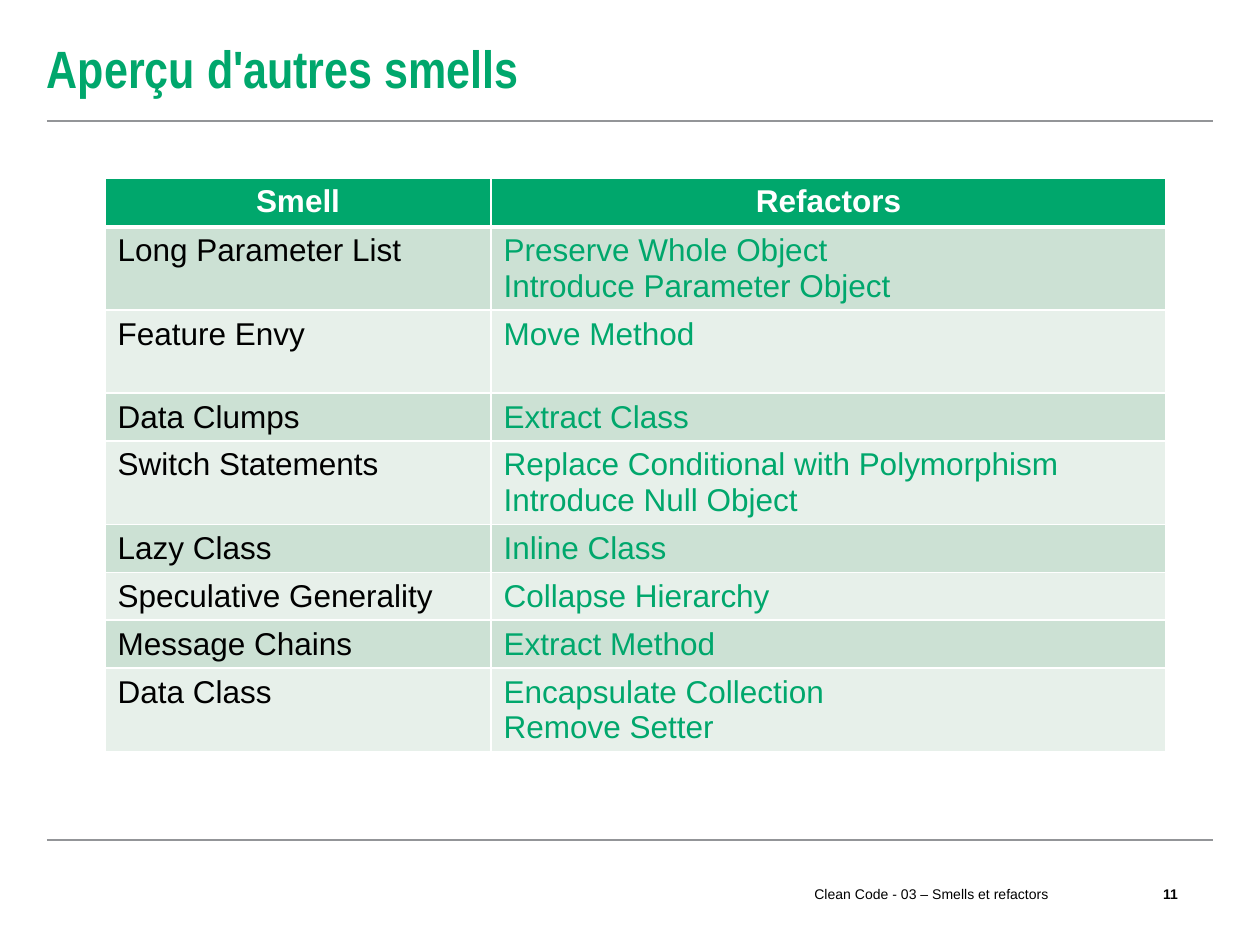
from lxml.etree import SubElement
from pptx import Presentation
from pptx.dml.color import RGBColor
from pptx.enum.shapes import MSO_CONNECTOR as Connector
from pptx.enum.text import MSO_ANCHOR as Anchor, MSO_AUTO_SIZE as AutoSize, PP_ALIGN as Align
from pptx.oxml import parse_xml
from pptx.oxml.ns import nsdecls, qn
from pptx.util import Pt

EMU_PER_PX = 914400 / 126
COLORS = {"green": "00A76C", "rule": "939598", "black": "000000", "white": "FFFFFF",
          "dark_band": "CCE1D4", "light_band": "E7F0EA"}
SMELLS = [
    ("Long Parameter List", ["Preserve Whole Object", "Introduce Parameter Object"]),
    ("Feature Envy", ["Move Method"]),
    ("Data Clumps", ["Extract Class"]),
    ("Switch Statements", ["Replace Conditional with Polymorphism", "Introduce Null Object"]),
    ("Lazy Class", ["Inline Class"]),
    ("Speculative Generality", ["Collapse Hierarchy"]),
    ("Message Chains", ["Extract Method"]),
    ("Data Class", ["Encapsulate Collection", "Remove Setter"]),
]
HEADER_HEIGHT, SHORT_ROW, TALL_ROW = 49, 48, 83
TALL_SMELLS = {"Feature Envy"} | {smell for smell, refactors in SMELLS if len(refactors) > 1}
SMELL_WIDTH = 386


def px(*lengths):
    return [round(length * EMU_PER_PX) for length in lengths]


def rgb(name):
    return RGBColor.from_string(COLORS[name])


def write(frame, lines, color, align=Align.LEFT, **font_values):
    """Fill a text frame with one formatted paragraph per line."""
    frame.text = "\n".join(lines)
    for paragraph in frame.paragraphs:
        paragraph.alignment = align
        for run in paragraph.runs:
            for key, value in ({"name": "Arial", "bold": False} | font_values).items():
                setattr(run.font, key, value)
            run.font.color.rgb = rgb(color)


def set_frame(frame, wrap=True):
    values = {"margin_left": 0, "margin_top": 0, "margin_right": 0, "margin_bottom": 0,
              "vertical_anchor": Anchor.MIDDLE, "auto_size": AutoSize.NONE, "word_wrap": wrap}
    for key, value in values.items():
        setattr(frame, key, value)


def add_rule(slide, left, top, width):
    rule = slide.shapes.add_connector(Connector.STRAIGHT, *px(left, top, left + width, top))
    rule.line.color.rgb = rgb("rule")
    rule.line.width = Pt(1)
    SubElement(rule._element.spPr, qn("a:effectLst"))


def add_header(slide, left, top, width, height):
    title = slide.shapes.title
    title.left, title.top, title.width, title.height = px(left, top, width, height)
    set_frame(title.text_frame)
    write(title.text_frame, ["Aperçu d'autres smells"], "green",
          name="Arial Narrow", size=Pt(30), bold=True)
    add_rule(slide, left, top + height + 3, width)


def add_footer(slide, left, top, width):
    add_rule(slide, left, top, width)
    for text, offset, label_width, bold in (
            ("Clean Code - 03 – Smells et refactors", 725, 277, False),
            ("11", 1106, 25, True)):
        label = slide.shapes.add_textbox(*px(left + offset, top + 41, label_width, 25))
        set_frame(label.text_frame, wrap=not bold)
        write(label.text_frame, [text], "black", Align.RIGHT, size=Pt(8), bold=bold)


def set_borders(cell, top, bottom):
    """Draw white cell borders, with the top and bottom widths in points."""
    widths = {"lnL": 0.96, "lnR": 0.96, "lnT": top, "lnB": bottom}
    for index, (side, width) in enumerate(widths.items()):
        border = parse_xml(
            f'<a:{side} {nsdecls("a")} w="{Pt(width)}"><a:solidFill>'
            f'<a:srgbClr val="{COLORS["white"]}"/></a:solidFill></a:{side}>')
        cell._tc.get_or_add_tcPr().insert(index, border)


def add_smell_table(slide, left, top, width):
    rows = [("Smell", ["Refactors"])] + SMELLS
    heights = [HEADER_HEIGHT] + [TALL_ROW if smell in TALL_SMELLS else SHORT_ROW
                                 for smell, _ in SMELLS]
    table = slide.shapes.add_table(
        len(rows), 2, *px(left, top, width, sum(heights))).table
    for column, column_width in zip(table.columns, px(SMELL_WIDTH, width - SMELL_WIDTH)):
        column.width = column_width
    for index, (smell, refactors) in enumerate(rows):
        table.rows[index].height = px(heights[index])[0]
        is_header = index == 0
        band = "green" if is_header else "dark_band" if index % 2 else "light_band"
        for column, (lines, color) in enumerate((([smell], "black"), (refactors, "green"))):
            cell = table.cell(index, column)
            cell.fill.solid()
            cell.fill.fore_color.rgb = rgb(band)
            set_borders(cell, 3 if index == 1 else 0.96, 3 if is_header else 0.96)
            write(cell.text_frame, lines, "white" if is_header else color,
                  Align.CENTER if is_header else Align.LEFT, size=Pt(18), bold=is_header)


def main():
    deck = Presentation()
    deck.slide_width, deck.slide_height = px(1260, 945)
    slide = deck.slides.add_slide(deck.slide_layouts[5])
    add_header(slide, 47, 16, 1166, 102)
    add_smell_table(slide, 105, 178, 1061)
    add_footer(slide, 47, 840, 1166)
    deck.save("out.pptx")


if __name__ == "__main__":
    main()
